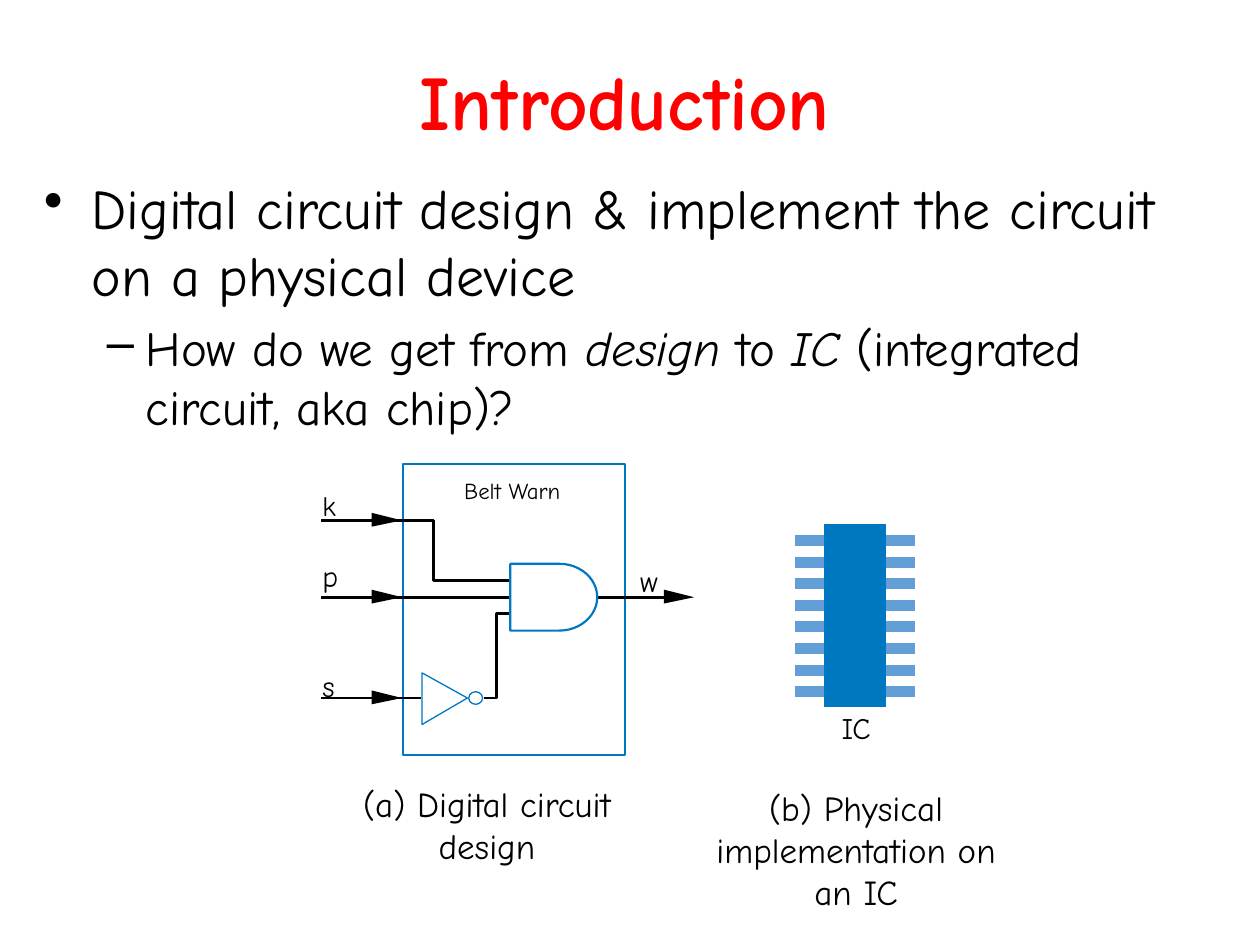
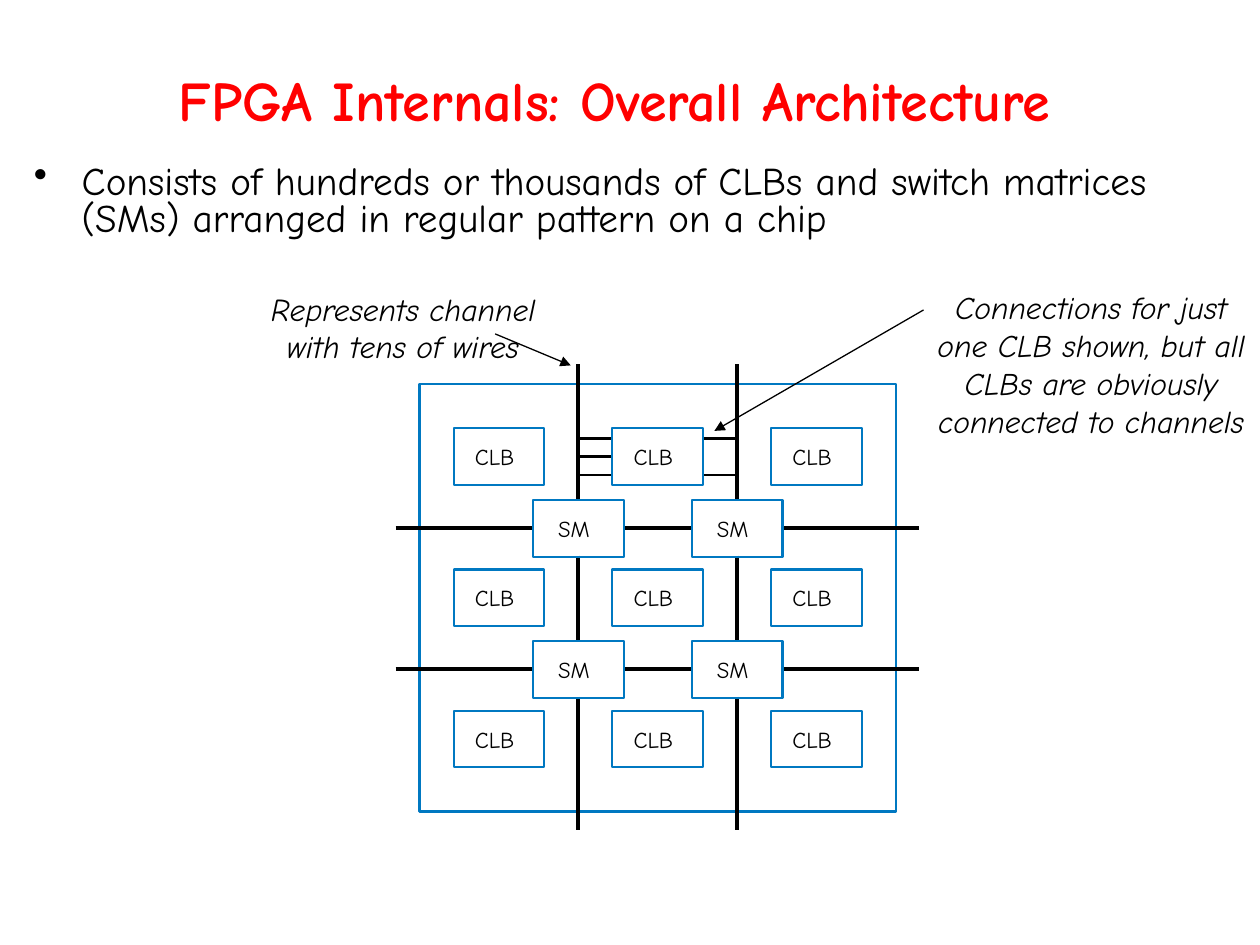
from dataclasses import dataclass
from math import cos, pi, sin

from lxml.etree import SubElement
from pptx import Presentation
from pptx.dml.color import RGBColor
from pptx.enum.shapes import MSO_CONNECTOR, MSO_SHAPE
from pptx.enum.text import MSO_ANCHOR, PP_ALIGN
from pptx.oxml.ns import qn
from pptx.util import Inches, Pt


@dataclass(frozen=True)
class Theme:
    font: str = "Comic Neue"
    red: str = "FF0000"
    black: str = "000000"
    white: str = "FFFFFF"
    blue: str = "0078C1"
    pale: str = "629FD6"
    head: float = 44
    subhead: float = 32
    body: float = 32
    sub: float = 28
    point: float = 22.4
    caption: float = 20
    note: float = 18
    label: float = 17
    small: float = 13
    edge: float = 1.25
    thin: float = 0.75
    wire: float = 1.63
    bus: float = 2.38
    pin: float = 6.25


T = Theme()


def write(frame, words, size, color=T.black, bold=False, ital=False,
          align=PP_ALIGN.LEFT, before=0, lines=None, mark=None, indent=(0, 0)):
    """Add a paragraph; words is a string or a list of (string, italic) runs."""
    para = frame.paragraphs[0]
    if para.runs:
        para = frame.add_paragraph()
    para.alignment = align
    para.space_before = Pt(before)
    if lines:
        para.line_spacing = lines
    if mark:
        props = para._p.get_or_add_pPr()
        props.set("marL", str(Inches(indent[0])))
        props.set("indent", str(Inches(indent[1])))
        SubElement(props, qn("a:buChar")).set("char", mark)
    runs = [(words, ital)] if isinstance(words, str) else words
    for part, slant in runs:
        run = para.add_run()
        run.text = part
        font = run.font
        font.name, font.size = T.font, Pt(size)
        font.bold, font.italic = bold, slant
        font.color.rgb = RGBColor.from_string(color)


def text_box(slide, x, y, w, h):
    frame = slide.shapes.add_textbox(*map(Inches, (x, y, w, h))).text_frame
    frame.word_wrap = True
    return frame


def pad(frame, left=0, right=0):
    frame.margin_left, frame.margin_right = Inches(left), Inches(right)
    frame.margin_top = frame.margin_bottom = 0
    frame.word_wrap = False


def label(slide, words, x, y, w=0.13, h=0.29, size=T.label, **style):
    frame = text_box(slide, x, y, w, h)
    pad(frame)
    write(frame, words, size, **style)


def paint(shape, fill, line, width):
    shape.shadow.inherit = False
    if fill:
        shape.fill.solid()
        shape.fill.fore_color.rgb = RGBColor.from_string(fill)
    else:
        shape.fill.background()
    if line:
        shape.line.color.rgb = RGBColor.from_string(line)
        shape.line.width = Pt(width)
    else:
        shape.line.fill.background()
    return shape


def block(slide, x, y, w, h, fill=None, line=T.blue, width=T.edge,
          kind=MSO_SHAPE.RECTANGLE):
    shape = slide.shapes.add_shape(kind, *map(Inches, (x, y, w, h)))
    return paint(shape, fill, line, width)


def trace(slide, points, close=False, fill=None, line=T.black, width=T.wire):
    """Draw a freeform through points given in inches."""
    spots = [(Inches(x), Inches(y)) for x, y in points]
    pen = slide.shapes.build_freeform(*spots[0])
    pen.add_line_segments(spots[1:], close=close)
    return paint(pen.convert_to_shape(), fill, line, width)


def link(slide, x1, y1, x2, y2, color=T.black, width=T.wire, arrow=False):
    line = slide.shapes.add_connector(
        MSO_CONNECTOR.STRAIGHT, *map(Inches, (x1, y1, x2, y2)))
    line.line.color.rgb = RGBColor.from_string(color)
    line.line.width = Pt(width)
    props = line._element.spPr
    if arrow:
        SubElement(props.find(qn("a:ln")), qn("a:tailEnd")).set("type", "triangle")
    SubElement(props, qn("a:effectLst"))


def new_slide(deck, words, size):
    slide = deck.slides.add_slide(deck.slide_layouts[5])
    title = slide.shapes.title
    title.left, title.top = Inches(0.25), Inches(0.33)
    title.width, title.height = Inches(9.42), Inches(0.92)
    frame = title.text_frame
    frame.vertical_anchor = MSO_ANCHOR.MIDDLE
    write(frame, words, size, color=T.red, bold=True, align=PP_ALIGN.CENTER)
    return slide


def tip(slide, x, y):
    """Draw a solid arrowhead that points right to x, y."""
    trace(slide, [(x, y), (x - 0.24, y - 0.06), (x - 0.24, y + 0.05)],
          close=True, fill=T.black, line=None)


def circuit(slide, x, y):
    """Draw the Belt Warn circuit; x, y is the corner of its frame."""
    block(slide, x, y, 1.76, 2.31)
    start, gate, mid = x - 0.65, x + 0.85, y + 1.06
    k_row, s_row = y + 0.45, y + 1.86
    link(slide, gate + 0.69, mid, x + 2.15, mid)
    link(slide, start, mid, gate, mid)
    link(slide, start, s_row, x + 0.14, s_row)
    trace(slide, [(gate, y + 0.93), (x + 0.24, y + 0.93),
                  (x + 0.24, k_row), (start, k_row)])
    trace(slide, [(x + 0.64, s_row), (x + 0.74, s_row),
                  (x + 0.74, y + 1.19), (gate, y + 1.19)])
    for row in (k_row, mid, s_row):
        tip(slide, x - 0.01, row)
    tip(slide, x + 2.31, mid)

    label(slide, "k", x - 0.64, y + 0.2, h=0.27, size=16)
    label(slide, "p", x - 0.64, y + 0.75)
    label(slide, "s", x - 0.64, y + 1.62)
    label(slide, "w", x + 1.88, y + 0.79, w=0.16)
    label(slide, "Belt Warn", x + 0.43, y + 0.1, w=0.87, h=0.22,
          size=T.small, align=PP_ALIGN.CENTER)

    turns = [pi / 2 - pi * i / 24 for i in range(25)]
    curve = [(gate + 0.39 + 0.3 * cos(a), mid + 0.265 * sin(a)) for a in turns]
    ends = [(gate, mid - 0.265), (gate, mid + 0.265)]
    trace(slide, curve + ends, close=True, fill=T.white, line=T.blue, width=T.edge)
    trace(slide, [(x + 0.15, y + 2.07), (x + 0.51, s_row), (x + 0.15, y + 1.66)],
          close=True, fill=T.white, line=T.blue, width=T.thin)
    block(slide, x + 0.52, y + 1.81, 0.11, 0.1, fill=T.white, width=T.thin,
          kind=MSO_SHAPE.OVAL)


def package(slide, x, y):
    """Draw an IC with eight pins on each side; x, y is the body's corner."""
    wide, pins = 0.49, 8
    for left in (x - 0.23, x + wide):
        for i in range(pins):
            row = y + 0.13 + 1.2 * i / (pins - 1)
            link(slide, left, row, left + 0.23, row, color=T.pale, width=T.pin)
    block(slide, x, y, wide, 1.45, fill=T.blue, line=None)
    label(slide, "IC", x + 0.14, y + 1.47, w=0.27)


def cell(slide, words, x, y):
    shape = block(slide, x, y, 0.72, 0.45)
    frame = shape.text_frame
    pad(frame, right=0.07)
    frame.vertical_anchor = MSO_ANCHOR.MIDDLE
    write(frame, words, T.small, align=PP_ALIGN.CENTER)


def spans(low, high, nodes, half):
    """Return the stretches from low to high that lie between the nodes."""
    stops = [low, *(n + d for n in nodes for d in (-half, half)), high]
    return zip(stops[::2], stops[1::2])


def fabric(slide, x, y):
    """Draw CLBs, switch matrices and channels; x, y is the frame's corner."""
    wide, high = 3.78, 3.39
    across, down = 1.26, 1.12
    block(slide, x, y, wide, high)
    cols = [x + across * (i + 1) for i in range(2)]
    rows = [y + 1.14 + down * i for i in range(2)]
    for col in cols:
        for a, b in spans(y - 0.16, y + high + 0.15, rows, 0.22):
            link(slide, col, a, col, b, width=T.bus)
    for row in rows:
        for a, b in spans(x - 0.19, x + wide + 0.18, cols, 0.36):
            link(slide, a, row, b, row, width=T.bus)
    for i, drop in enumerate((0.43, 0.57, 0.72)):
        link(slide, cols[0], y + drop, cols[0] + 0.27, y + drop)
        if i != 1:
            link(slide, cols[1] - 0.27, y + drop, cols[1], y + drop)
    for i in range(3):
        for j in range(3):
            cell(slide, "CLB", x + 0.27 + across * j, y + 0.35 + down * i)
    for row in rows:
        for col in cols:
            cell(slide, "SM", col - 0.36, row - 0.22)


def intro(deck):
    slide = new_slide(deck, "Introduction", T.head)
    body = text_box(slide, 0.25, 1.33, 9.42, 2.76)
    write(body, "Digital circuit design & implement the circuit on a physical device",
          T.body, mark="•", indent=(0.38, -0.38))
    write(body, [("How do we get from ", False), ("design", True), (" to ", False),
                 ("IC", True), (" (integrated circuit, aka chip)?", False)],
          T.sub, before=5.6, mark="–", indent=(0.81, -0.31))
    circuit(slide, 3.2, 3.68)
    package(slide, 6.54, 4.16)
    for words, area in (
            ("(a) Digital circuit design", (2.53, 6.16, 2.67, 0.77)),
            ("(b) Physical implementation on an IC", (5.51, 6.19, 2.57, 1.1))):
        write(text_box(slide, *area), words, T.caption, align=PP_ALIGN.CENTER)


def layout(deck):
    slide = new_slide(deck, "FPGA Internals: Overall Architecture ", T.subhead)
    body = text_box(slide, 0.17, 1.26, 9.22, 1.01)
    write(body, "Consists of hundreds or thousands of CLBs and switch matrices "
          "(SMs) arranged in regular pattern on a chip",
          T.point, lines=0.8, mark="•", indent=(0.38, -0.38))
    fabric(slide, 3.33, 3.05)
    for words, area, arrow in (
            ("Represents channel with tens of wires",
             (1.86, 2.25, 2.68, 0.7), (3.93, 2.65, 4.53, 2.9)),
            ("Connections for just one CLB shown, but all CLBs are obviously "
             "connected to channels",
             (7.32, 2.24, 2.68, 1.62), (7.33, 2.46, 5.67, 3.42))):
        write(text_box(slide, *area), words, T.note, ital=True,
              align=PP_ALIGN.CENTER)
        link(slide, *arrow, width=T.thin, arrow=True)


def main():
    deck = Presentation()
    deck.slide_width, deck.slide_height = Inches(10), Inches(7.5)
    intro(deck)
    layout(deck)
    deck.save("out.pptx")


if __name__ == "__main__":
    main()
